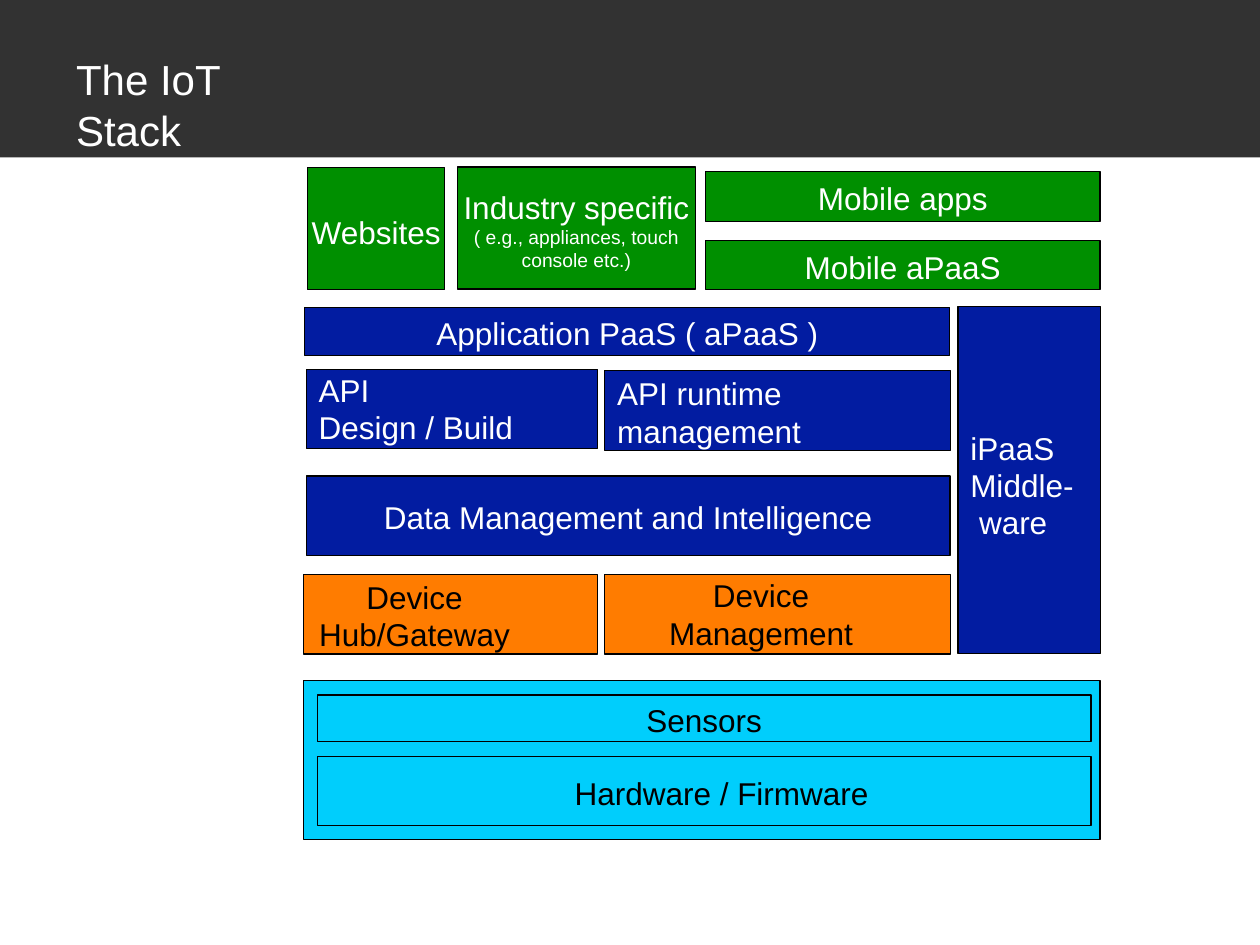
from pptx import Presentation
from pptx.dml.color import RGBColor
from pptx.enum import shapes, text
from pptx.util import Pt

WHITE = RGBColor(255, 255, 255)
BLACK = RGBColor(0, 0, 0)
DARK = RGBColor(0x32, 0x32, 0x32)
GREEN = RGBColor(0x00, 0x8F, 0x00)
BLUE = RGBColor(0x02, 0x1C, 0xA1)
ORANGE = RGBColor(0xFF, 0x7C, 0x00)
CYAN = RGBColor(0x00, 0xCE, 0xFC)

MID = text.PP_ALIGN.CENTER
LEFT = text.PP_ALIGN.LEFT
BODY = [(18, 21.3)]
MIXED = [(18, 21.3), (11, 13), (11, 13)]
TITLE = [(24, 29)]

LAYERS = [
    (GREEN, WHITE, [
        ("Websites", (175.7, 95.8, 78.5, 69.8), MID, (0, 4, 0), BODY),
        ("Industry specific\n( e.g., appliances, touch\nconsole etc.)",
         (261.4, 95.4, 136, 69.8), MID, (0, 2, 0), MIXED),
        ("Mobile apps", (403.2, 97.9, 225.4, 28.8), MID, (0, 2, 0), BODY),
        ("Mobile aPaaS", (403.2, 137.5, 225.4, 27.8), MID, (0, 2, 0), BODY),
    ]),
    (BLUE, WHITE, [
        ("Application PaaS ( aPaaS )", (174.2, 175.7, 368.6, 27.4), MID, (0, 2, 0), BODY),
        ("API\nDesign / Build", (175, 211, 166.3, 45.4), LEFT, (7.2, 0, 0), BODY),
        ("API runtime\vmanagement", (345.6, 211.9, 197.6, 45.4), LEFT, (7.2, 2, 0), BODY),
        ("Data Management and Intelligence", (175, 272, 367.9, 45.4), MID, (0, 2, 0), BODY),
        ("iPaaS\vMiddle-\v ware", (547.4, 175, 81.4, 198.4), LEFT, (7.2, 6, 0), BODY),
    ]),
    (ORANGE, BLACK, [
        ("Device\vHub/Gateway", (173.5, 328.3, 167.8, 45.4), MID, (0, 2, 41), BODY),
        ("Device\vManagement", (345.6, 328.3, 197.6, 45.4), MID, (0, 0, 19), BODY),
    ]),
    (CYAN, BLACK, [
        ("", (173.5, 388.8, 455.2, 90.8), MID, (0, 0, 0), BODY),
        ("Sensors", (181.4, 397.2, 442.1, 26.6), MID, (0, 2, 0), BODY),
        ("Hardware / Firmware", (181.4, 432.2, 442.1, 39.6), LEFT, (147, 2, 0), BODY),
    ]),
]


def place(area):
    return [Pt(n) for n in area]


def write(shape, words, ink, align, inset, sizes):
    frame = shape.text_frame
    frame.text = words
    frame.word_wrap = True
    frame.margin_left, frame.margin_top, frame.margin_right = place(inset)
    frame.margin_bottom = 0
    for i, line in enumerate(frame.paragraphs):
        size, pitch = sizes[min(i, len(sizes) - 1)]
        line.alignment = align
        line.line_spacing = Pt(pitch)
        for run in line.runs:
            run.font.name = "Arial"
            run.font.size = Pt(size)
            run.font.color.rgb = ink


def block(slide, area, fill):
    box = slide.shapes.add_shape(shapes.MSO_SHAPE.RECTANGLE, *place(area))
    box.shadow.inherit = False
    box.fill.solid()
    box.fill.fore_color.rgb = fill
    return box


def main():
    deck = Presentation()
    deck.slide_width, deck.slide_height = Pt(720), Pt(540)
    slide = deck.slides.add_slide(deck.slide_layouts[6])

    band = block(slide, (0, 0, 720, 90), DARK)
    band.line.fill.background()
    title = slide.shapes.add_textbox(*place((42.5, 30, 147, 60)))
    write(title, "The IoT\vStack", WHITE, LEFT, (1, 0.5, 0), TITLE)

    for fill, ink, cells in LAYERS:
        for words, area, align, inset, sizes in cells:
            box = block(slide, area, fill)
            box.line.color.rgb = BLACK
            box.line.width = Pt(0.75)
            if words:
                box.text_frame.vertical_anchor = text.MSO_ANCHOR.MIDDLE
                write(box, words, ink, align, inset, sizes)

    deck.save("out.pptx")


if __name__ == "__main__":
    main()
